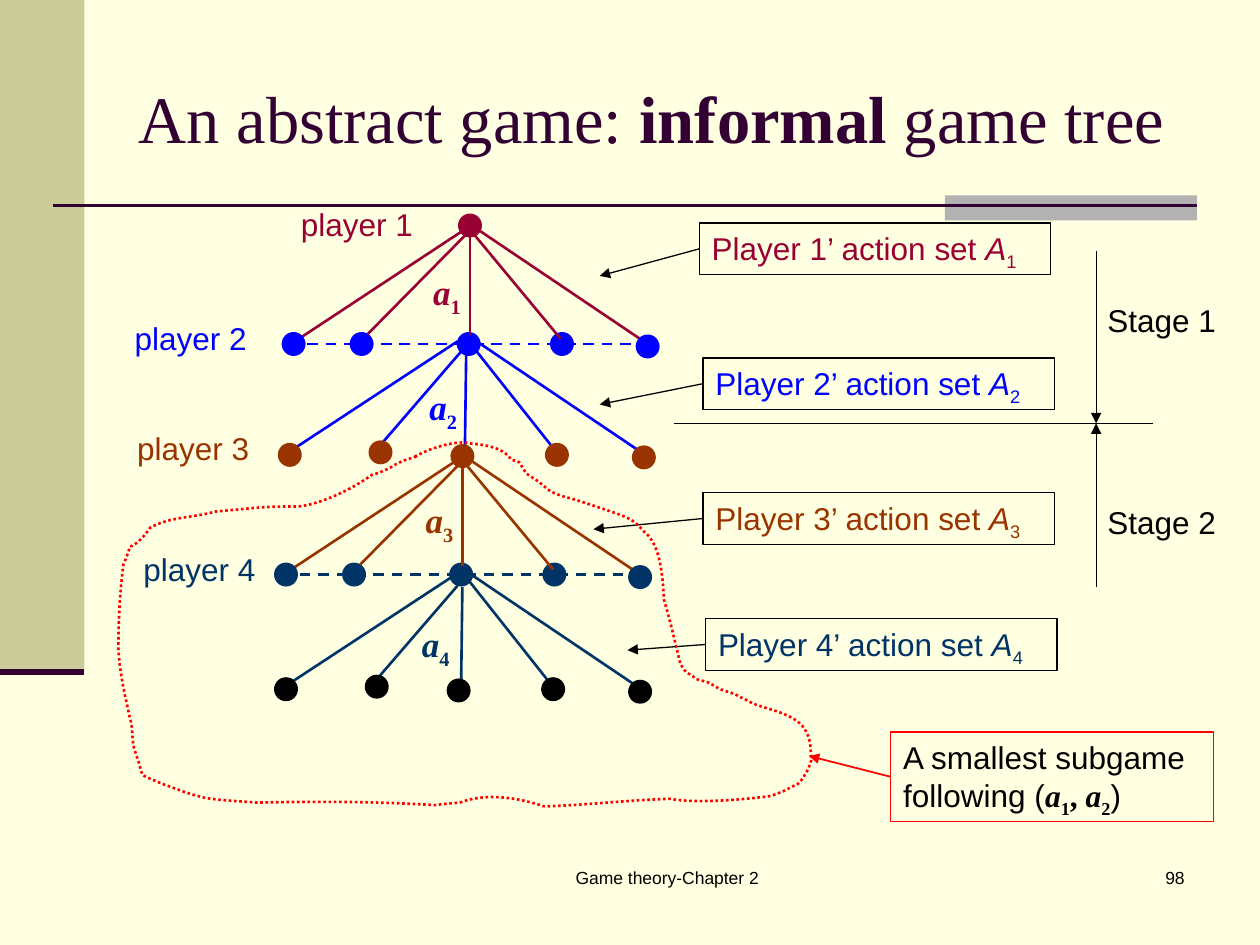
from lxml import etree
from pptx import Presentation
from pptx.dml.color import RGBColor
from pptx.enum import dml, shapes, text
from pptx.oxml.ns import qn
from pptx.util import Inches, Pt

COLORS = {"paper": "FFFFE1", "sand": "CCCC99", "gray": "B2B2B2", "plum": "330033",
          "black": "000000", "red": "FF0000", "p1": "990033", "p2": "0000FF",
          "p3": "993300", "p4": "003366"}
SANS, SERIF = "Arial", "Times New Roman"
DOT = 0.18

WIDE = {
    "nodes": [(2.24, 2.64), (2.78, 2.64), (3.63, 2.64), (4.37, 2.64), (5.05, 2.66)],
    "outer": [(3.66, 1.84, 2.31, 2.73), (3.79, 1.82, 5.11, 2.71)],
    "inner": [(3.69, 1.87, 2.92, 2.65), (3.73, 1.87, 3.73, 2.66), (3.77, 1.87, 4.45, 2.69)],
    "dash": (2.44, 2.73, 5.07, 2.73)}
NARROW = {
    "nodes": [(2.21, 3.52), (2.93, 3.5), (3.58, 3.53), (4.33, 3.52), (5.02, 3.54)],
    "outer": [(3.63, 2.71, 2.35, 3.55), (3.77, 2.7, 5.09, 3.59)],
    "inner": [(3.66, 2.79, 3.03, 3.52), (3.7, 2.8, 3.69, 3.56), (3.76, 2.76, 4.37, 3.53)],
    "dash": None}
FANS = [(WIDE, 0, 0, "p1", "p2"), (NARROW, 0, 0, "p2", "p3"),
        (WIDE, -0.06, 1.83, "p3", "p4"), (NARROW, -0.03, 1.86, "p4", "black")]

PLAYERS = [
    ("1", (2.29, 1.58, 1.15, 0.4), (3.34, 2.1), (5.55, 1.77), (4.76, 2.19)),
    ("2", (0.97, 2.48, 1.3, 0.4), (3.31, 3.01), (5.58, 2.84), (4.76, 3.21)),
    ("3", (0.99, 3.36, 1.25, 0.4), (3.28, 3.91), (5.58, 3.91), (4.71, 4.2)),
    ("4", (1.04, 4.32, 1.12, 0.4), (3.25, 4.89), (5.6, 4.91), (4.98, 5.16))]

SUBGAME_START = (3.65, 6.37)
SUBGAME_CURVES = [
    (3.86, 6.29, 4.11, 6.33, 4.32, 6.4), (4.66, 6.39, 4.98, 6.35, 5.32, 6.34),
    (5.58, 6.39, 6.1, 6.32, 6.1, 6.32), (6.15, 6.31, 6.19, 6.29, 6.24, 6.27),
    (6.35, 6.2, 6.32, 6.26, 6.4, 6.13), (6.42, 6.1, 6.44, 6.03, 6.44, 6.03),
    (6.43, 5.96, 6.44, 5.88, 6.4, 5.81), (6.34, 5.68, 6.14, 5.64, 6.02, 5.6),
    (5.96, 5.58, 5.92, 5.55, 5.87, 5.53), (5.81, 5.49, 5.74, 5.49, 5.68, 5.45),
    (5.66, 5.44, 5.65, 5.43, 5.63, 5.42), (5.6, 5.41, 5.53, 5.39, 5.53, 5.39),
    (5.42, 5.31, 5.46, 5.36, 5.4, 5.27), (5.36, 5.1, 5.32, 4.93, 5.27, 4.76),
    (5.26, 4.6, 5.25, 4.31, 5.1, 4.21), (5.03, 4.11, 4.93, 4.09, 4.82, 4.05),
    (4.7, 4.01, 4.59, 3.97, 4.47, 3.94), (4.35, 3.9, 4.36, 3.89, 4.27, 3.82),
    (4.24, 3.8, 4.18, 3.76, 4.18, 3.76), (4.1, 3.65, 4.15, 3.67, 4.06, 3.65),
    (4, 3.55, 3.84, 3.53, 3.74, 3.52), (3.63, 3.49, 3.44, 3.55, 3.34, 3.6),
    (3.19, 3.67, 3.43, 3.58, 3.19, 3.66), (3.18, 3.67, 3.15, 3.68, 3.15, 3.68),
    (3.09, 3.72, 3.02, 3.75, 2.95, 3.77), (2.8, 3.88, 2.55, 4, 2.37, 4.02),
    (2.26, 4.02, 2.15, 4.02, 2.03, 4.03), (1.93, 4.04, 1.71, 4.06, 1.71, 4.06),
    (1.54, 4.11, 1.34, 4.1, 1.19, 4.19), (1.16, 4.24, 1.09, 4.32, 1.03, 4.34),
    (1.02, 4.39, 0.98, 4.48, 0.98, 4.48), (0.95, 4.71, 0.94, 4.92, 0.94, 5.15),
    (0.95, 5.34, 0.99, 5.51, 1.03, 5.69), (1.06, 5.8, 1.04, 5.78, 1.06, 5.92),
    (1.08, 5.99, 1.11, 6.07, 1.13, 6.15), (1.14, 6.16, 1.33, 6.24, 1.34, 6.24),
    (1.42, 6.27, 1.5, 6.3, 1.58, 6.32), (1.66, 6.35, 1.94, 6.36, 2.03, 6.37),
    (2.51, 6.36, 2.97, 6.36, 3.45, 6.39), (3.52, 6.38, 3.65, 6.37, 3.65, 6.37)]


def rgb(name):
    return RGBColor.from_string(COLORS[name])


def inches(*values):
    return [Inches(v) for v in values]


def add_line(slide, points, color, width, dash=None, arrow=False):
    cx = slide.shapes.add_connector(shapes.MSO_CONNECTOR.STRAIGHT, *inches(*points))
    cx.line.color.rgb = rgb(color)
    cx.line.width = Pt(width)
    if dash:
        cx.line.dash_style = dash
    if arrow:
        etree.SubElement(cx.line._get_or_add_ln(), qn("a:tailEnd"), type="triangle")
    etree.SubElement(cx._element.spPr, qn("a:effectLst"))
    return cx


def add_shape(slide, kind, box, fill=None, line=None):
    sp = slide.shapes.add_shape(kind, *inches(*box))
    sp.shadow.inherit = False
    if fill:
        sp.fill.solid()
        sp.fill.fore_color.rgb = rgb(fill)
    else:
        sp.fill.background()
    if line:
        sp.line.color.rgb = rgb(line)
        sp.line.width = Pt(0.75)
    else:
        sp.line.fill.background()
    return sp


def add_run(p, words, size, color, font=SANS, bold=False, italic=False, sub=False):
    r = p.add_run()
    r.text = words
    r.font.size, r.font.name = Pt(size), font
    r.font.bold, r.font.italic = bold, italic
    r.font.color.rgb = rgb(color)
    if sub:
        r._r.get_or_add_rPr().set("baseline", "-25000")


def start_text(sp, align=text.PP_ALIGN.LEFT, anchor=text.MSO_ANCHOR.TOP):
    tf = sp.text_frame
    tf.word_wrap = True
    tf.vertical_anchor = anchor
    tf.paragraphs[0].alignment = align
    return tf.paragraphs[0]


def add_label(slide, box, words, size, color, align=text.PP_ALIGN.LEFT):
    p = start_text(slide.shapes.add_textbox(*inches(*box)), align)
    add_run(p, words, size, color)


def add_action(p, number, size, color):
    add_run(p, "a", size, color, SERIF, bold=True, italic=True)
    add_run(p, number, size, color, SERIF, bold=True, sub=True)


def draw_frame(slide):
    rect = shapes.MSO_SHAPE.RECTANGLE
    add_shape(slide, rect, (0, 0, 0.67, 5.33), "sand")
    add_shape(slide, rect, (7.5, 1.55, 2, 0.2), "gray")
    add_line(slide, (0.42, 1.63, 9.5, 1.63), "plum", 1.5)
    add_line(slide, (0, 5.33, 0.67, 5.33), "plum", 3.5)
    add_label(slide, (3.67, 6.83, 3.25, 0.5), "Game theory-Chapter 2", 10, "black",
              text.PP_ALIGN.CENTER)
    add_label(slide, (7.42, 6.83, 2.08, 0.5), "98", 10, "black", text.PP_ALIGN.RIGHT)


def draw_title(slide, box):
    sp = slide.shapes.title
    sp.left, sp.top, sp.width, sp.height = inches(*box)
    p = start_text(sp, anchor=text.MSO_ANCHOR.MIDDLE)
    for words, bold in (("An abstract game: ", False), ("informal", True), (" game tree", False)):
        add_run(p, words, 38, "plum", SERIF, bold=bold)


def draw_dot(slide, x, y, color):
    add_shape(slide, shapes.MSO_SHAPE.OVAL, (x, y, DOT, DOT), color, color)


def draw_fan(slide, fan, dx, dy, color, child):
    def draw_edges(edges, shade, dash=None):
        for x1, y1, x2, y2 in edges:
            add_line(slide, (x1 + dx, y1 + dy, x2 + dx, y2 + dy), shade, 1.5, dash)

    draw_edges(fan["outer"], color)
    if fan["dash"]:
        draw_edges([fan["dash"]], child, dml.MSO_LINE.DASH)
    else:
        draw_edges(fan["inner"], color)
    for x, y in fan["nodes"]:
        draw_dot(slide, x + dx, y + dy, child)
    if fan["dash"]:
        draw_edges(fan["inner"], color)


def draw_player(slide, number, name_box, action_at, set_at, target):
    color = "p" + number
    add_label(slide, name_box, "player " + number, 18, color)
    box = slide.shapes.add_textbox(*inches(*action_at, 0.53, 0.43))
    add_action(start_text(box), number, 20, color)
    sp = add_shape(slide, shapes.MSO_SHAPE.RECTANGLE, (*set_at, 2.79, 0.41), line="black")
    p = start_text(sp)
    add_run(p, f"Player {number}’ action set ", 18, color)
    add_run(p, "A", 18, color, italic=True)
    add_run(p, number, 18, color, sub=True)
    add_line(slide, (*set_at, *target), "black", 0.75, arrow=True).begin_connect(sp, 1)


def draw_stages(slide, x, middle):
    add_line(slide, (5.35, middle, 9.15, middle), "black", 0.75)
    for words, start, top, width in (("Stage 1", 1.99, 2.34, 1.12), ("Stage 2", 4.66, 3.94, 1.31)):
        add_line(slide, (x, start, x, middle), "black", 0.75, arrow=True)
        add_label(slide, (x - 0.01, top, width, 0.4), words, 18, "black")


def draw_loop(slide):
    builder = slide.shapes.build_freeform(*inches(*SUBGAME_START))
    builder.add_line_segments([inches(*curve[4:]) for curve in SUBGAME_CURVES], close=True)
    loop = builder.convert_to_shape()
    segments = list(loop._element.iter(qn("a:lnTo")))
    for segment, curve in zip(segments, SUBGAME_CURVES):
        bend = etree.Element(qn("a:cubicBezTo"))
        for x, y in zip(curve[::2], curve[1::2]):
            etree.SubElement(bend, qn("a:pt"), x=str(Inches(x) - loop.left),
                             y=str(Inches(y) - loop.top))
        segment.getparent().replace(segment, bend)
    loop.shadow.inherit = False
    loop.fill.background()
    loop.line.color.rgb = rgb("red")
    loop.line.width = Pt(1.5)
    loop.line.dash_style = dml.MSO_LINE.ROUND_DOT


def draw_subgame_note(slide, box):
    sp = add_shape(slide, shapes.MSO_SHAPE.RECTANGLE, box, line="red")
    p = start_text(sp)
    add_run(p, "A smallest subgame following (", 18, "black")
    add_action(p, "1", 18, "black")
    add_run(p, ", ", 18, "black", SERIF, bold=True)
    add_action(p, "2", 18, "black")
    add_run(p, ")", 18, "black")
    add_line(slide, (7.07, 6.13, 6.42, 6), "red", 1, arrow=True).begin_connect(sp, 1)


def main():
    prs = Presentation()
    prs.slide_width, prs.slide_height = inches(10, 7.5)
    slide = prs.slides.add_slide(prs.slide_layouts[5])
    slide.background.fill.solid()
    slide.background.fill.fore_color.rgb = rgb("paper")
    draw_frame(slide)
    draw_title(slide, (1, 0.3, 8.5, 1.25))
    draw_dot(slide, 3.64, 1.7, "p1")
    for fan in FANS:
        draw_fan(slide, *fan)
    for player in PLAYERS:
        draw_player(slide, *player)
    draw_stages(slide, 8.7, 3.36)
    draw_loop(slide)
    draw_subgame_note(slide, (7.07, 5.81, 2.56, 0.71))
    prs.save("out.pptx")


if __name__ == "__main__":
    main()
